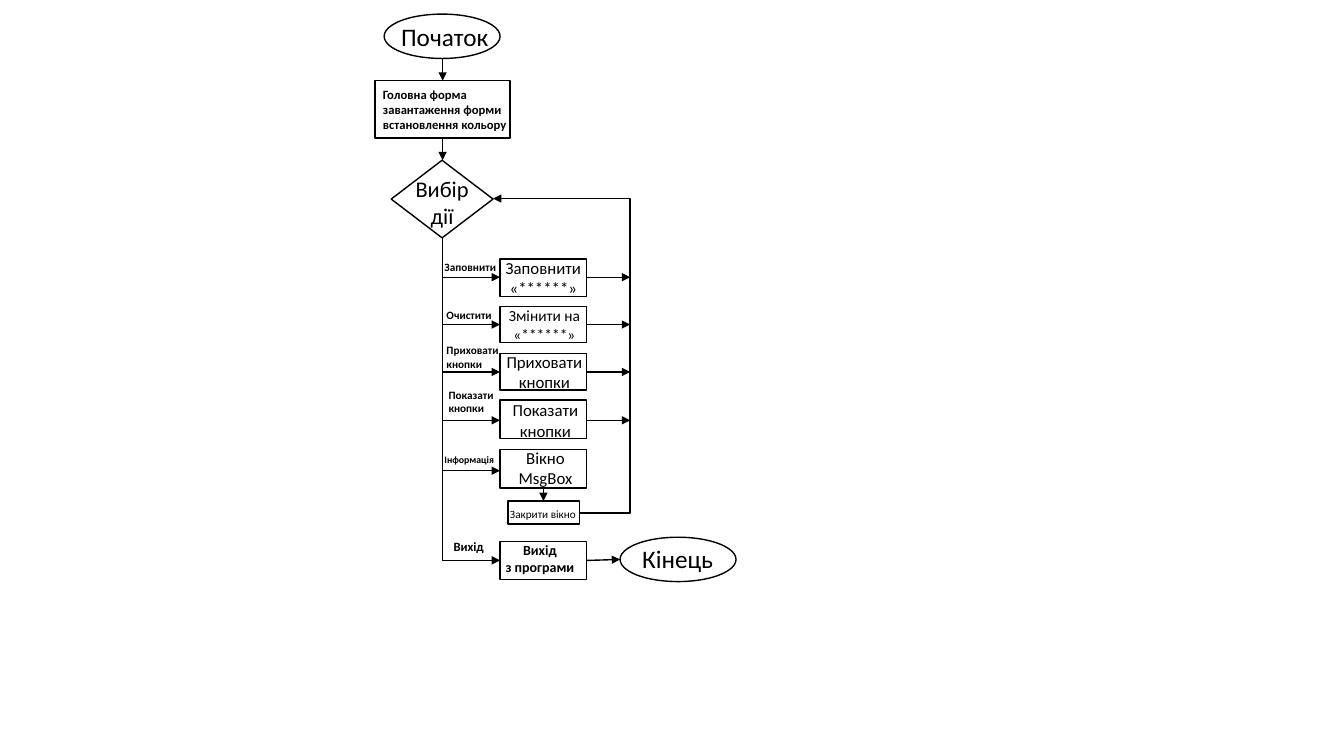
"""Builds a flowchart slide of a menu-driven program."""
from lxml import etree
from pptx import Presentation
from pptx.dml.color import RGBColor
from pptx.enum.shapes import MSO_CONNECTOR, MSO_SHAPE
from pptx.enum.text import MSO_AUTO_SIZE, PP_ALIGN
from pptx.oxml.ns import qn
from pptx.util import Inches, Pt

ELLIPSE, RECT, DIAMOND = MSO_SHAPE.OVAL, MSO_SHAPE.RECTANGLE, MSO_SHAPE.DIAMOND
STRAIGHT, ELBOW = MSO_CONNECTOR.STRAIGHT, MSO_CONNECTOR.ELBOW
LEFT, CENTER = PP_ALIGN.LEFT, PP_ALIGN.CENTER
FIT_SHAPE, FIT_NONE = MSO_AUTO_SIZE.SHAPE_TO_FIT_TEXT, MSO_AUTO_SIZE.NONE
BLANK_LAYOUT = 6


def color(hex_code):
    """Turn a hex string into a colour."""
    return RGBColor.from_string(hex_code)


class Flowchart:
    """Holds the style and the current slide."""

    font, ink, paper = "Calibri", "000000", "FFFFFF"

    def __init__(self, slide):
        """Keep the slide to draw on."""
        self.slide = slide

    def node(self, kind, left, top, width, height, filled=True):
        """Draw an outlined block."""
        block = self.slide.shapes.add_shape(
            kind, Inches(left), Inches(top), Inches(width), Inches(height))
        block.shadow.inherit = False
        if filled:
            block.fill.solid()
            block.fill.fore_color.rgb = color(self.paper)
        else:
            block.fill.background()
        block.line.color.rgb = color(self.ink)
        block.line.width = Pt(1)

    def label(self, box, lines, size, bold=False, align=LEFT, wrap=False):
        """Write one paragraph per line in a text box."""
        frame = self.slide.shapes.add_textbox(*map(Inches, box)).text_frame
        frame.word_wrap = wrap
        frame.auto_size = FIT_SHAPE
        for index, line in enumerate(lines):
            paragraph = frame.add_paragraph() if index else frame.paragraphs[0]
            paragraph.alignment = align
            run = paragraph.add_run()
            run.text = line
            run.font.name = self.font
            run.font.size = Pt(size)
            run.font.bold = bold
            run.font.color.rgb = color(self.ink)

    def arrow(self, x1, y1, x2, y2, kind=STRAIGHT, weight=1):
        """Draw a connector with a triangle at its end."""
        link = self.slide.shapes.add_connector(kind, *map(Inches, (x1, y1, x2, y2)))
        link.line.color.rgb = color(self.ink)
        link.line.width = Pt(weight)
        properties = link._element.spPr
        etree.SubElement(properties.find(qn("a:ln")), qn("a:tailEnd"), type="triangle")
        etree.SubElement(properties, qn("a:effectLst"))
        return properties

    def corner_arrow(self, x1, y1, x2, y2):
        """Draw an arrow that goes down and then right."""
        run, drop = x2 - x1, y2 - y1
        middle_x, middle_y = (x1 + x2) / 2, (y1 + y2) / 2
        properties = self.arrow(middle_x + drop / 2, middle_y - run / 2,
                                middle_x - drop / 2, middle_y + run / 2, ELBOW)
        properties.find(qn("a:xfrm")).set("rot", str(270 * 60000))
        properties.find(qn("a:prstGeom")).set("prst", "bentConnector2")

    def loop_arrow(self, x1, y1, x2, y2, bend_x):
        """Draw an elbow arrow that turns at bend_x."""
        properties = self.arrow(x1, y1, x2, y2, ELBOW)
        bend = round((bend_x - x1) / (x2 - x1) * 100000)
        guides = properties.find(qn("a:prstGeom")).find(qn("a:avLst"))
        etree.SubElement(guides, qn("a:gd"), name="adj1", fmla=f"val {bend}")


presentation = Presentation()
presentation.slide_width, presentation.slide_height = Inches(13.33), Inches(7.5)
chart = Flowchart(presentation.slides.add_slide(
    presentation.slide_layouts[BLANK_LAYOUT]))

trunk_x, action_left, action_width, return_x = 4.39, 4.96, 0.86, 6.25
action_right = action_left + action_width
exit_y = 5.56

action_blocks = [(2.57, 0.37), (3.04, 0.36), (3.51, 0.36),
                 (3.97, 0.38), (4.46, 0.38), (5.37, 0.38)]
branch_levels = [2.75, 3.22, 3.69, 4.17, 4.67]
branch_labels = [
    ((4.31, 2.53, 0.72, 0.24), ["Заповнити"], 8),
    ((4.33, 3.01, 0.66, 0.24), ["Очистити"], 8),
    ((4.33, 3.36, 0.72, 0.37), ["Приховати", "кнопки"], 8),
    ((4.35, 3.8, 0.65, 0.37), ["Показати", "кнопки"], 8),
    ((4.31, 4.45, 0.7, 0.22), ["Інформація"], 7),
    ((4.4, 5.3, 0.51, 0.25), ["Вихід"], 9),
]
action_labels = [
    ((4.91, 2.51, 0.96, 0.5), ["Заповнити", "«******»"], 12),
    ((4.94, 2.99, 0.92, 0.47), ["Змінити на", "«******»"], 11),
    ((4.92, 3.44, 0.96, 0.5), ["Приховати", "кнопки"], 12),
    ((4.98, 3.92, 0.86, 0.5), ["Показати", "кнопки"], 12),
    ((5.04, 4.39, 0.74, 0.5), ["Вікно", "MsgBox"], 12),
]

chart.node(ELLIPSE, 3.81, 0.14, 1.15, 0.44, filled=False)
chart.node(RECT, 3.72, 0.8, 1.34, 0.57, filled=False)
chart.node(DIAMOND, 3.88, 1.59, 1.01, 0.77)
for top, height in action_blocks:
    chart.node(RECT, action_left, top, action_width, height)
chart.node(ELLIPSE, 6.15, 5.33, 1.15, 0.44, filled=False)
chart.node(RECT, 5.04, 4.97, 0.71, 0.23)

chart.corner_arrow(trunk_x, 2.35, action_left, exit_y)
for level in branch_levels:
    chart.arrow(trunk_x, level, action_left, level)
for level in branch_levels[:-1]:
    chart.arrow(action_right, level, return_x, level)
for start, end in [(0.58, 0.8), (1.37, 1.59)]:
    chart.arrow(trunk_x, start, trunk_x, end)
chart.arrow(action_right, exit_y, 6.15, 5.55)
chart.arrow(5.39, 4.84, 5.39, 4.97, weight=0.5)
chart.loop_arrow(5.74, 5.09, 4.89, 1.97, return_x)

chart.label((3.88, 0.16, 1.08, 0.4), ["Початок"], 18)
chart.label((3.7, 0.81, 1.44, 0.56),
            ["Головна форма", "завантаження форми", "встановлення кольору"], 9, bold=True)
chart.label((4.02, 1.69, 0.73, 0.64), ["Вибір", "дії"], 16, align=CENTER)
for box, lines, size in branch_labels:
    chart.label(box, lines, size, bold=True)
for box, lines, size in action_labels:
    chart.label(box, lines, size, align=CENTER)
chart.label((4.96, 4.98, 0.87, 0.24), ["Закрити вікно"], 8, wrap=True)
chart.label((4.91, 5.32, 0.89, 0.44), ["Вихід", "з програми"], 10, bold=True, align=CENTER)
chart.label((6.27, 5.34, 0.91, 0.4), ["Кінець"], 18)

presentation.save("out.pptx")
